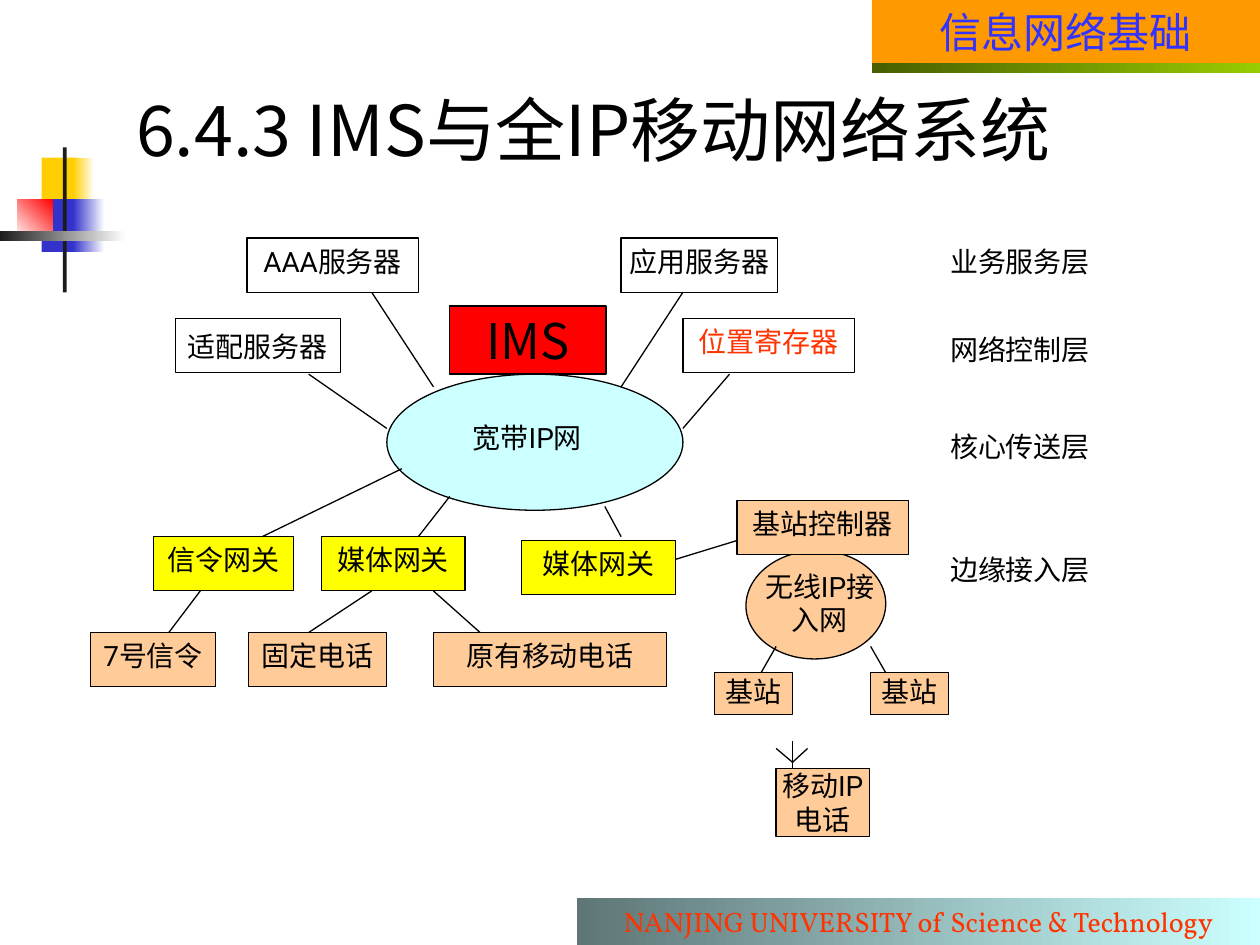
from typing import NamedTuple, Optional

from lxml.etree import SubElement
from pptx import Presentation
from pptx.dml.color import RGBColor
from pptx.enum.shapes import MSO_CONNECTOR, MSO_SHAPE
from pptx.enum.text import MSO_ANCHOR, MSO_AUTO_SIZE, PP_ALIGN
from pptx.oxml.ns import qn
from pptx.util import Inches, Pt

BLACK = RGBColor(0x00, 0x00, 0x00)
WHITE = RGBColor(0xFF, 0xFF, 0xFF)
CHARCOAL = RGBColor(0x1C, 0x1C, 0x1C)
GOLD = RGBColor(0xFF, 0xCF, 0x01)
INDIGO = RGBColor(0x33, 0x33, 0xCC)
BLUE = RGBColor(0x33, 0x33, 0xFF)
RED = RGBColor(0xFF, 0x00, 0x00)
ORANGE = RGBColor(0xFF, 0x99, 0x00)
VERMILION = RGBColor(0xFF, 0x33, 0x00)
TEAL = RGBColor(0x5E, 0x76, 0x76)
AQUA = RGBColor(0xCC, 0xFF, 0xFF)
OLIVE = RGBColor(0x47, 0x5E, 0x00)
LIME = RGBColor(0x99, 0xCC, 0x00)
PEACH = RGBColor(0xFF, 0xCC, 0x99)
YELLOW = RGBColor(0xFF, 0xFF, 0x00)

BODY_FONT = "Roboto"
TITLE_FONT = "Noto Sans CJK SC"
FOOTER_FONT = "Vollkorn"
NODE_HEIGHT = 0.43
LAYER_LEFT = 7.39


class Band(NamedTuple):
    left: float
    top: float
    width: float
    height: float
    start: RGBColor
    end: Optional[RGBColor] = None
    angle: float = 0


class Node(NamedTuple):
    text: str
    left: float
    top: float
    width: float
    height: float = NODE_HEIGHT
    fill: Optional[RGBColor] = PEACH
    outlined: bool = True
    inset: tuple[float, float] = (0.02, 0.05)
    size: float = 16
    color: RGBColor = BLACK
    font: str = BODY_FONT
    anchor: MSO_ANCHOR = MSO_ANCHOR.TOP
    geometry: MSO_SHAPE = MSO_SHAPE.RECTANGLE
    rotation: float = 0


class Link(NamedTuple):
    x1: float
    y1: float
    x2: float
    y2: float


BANDS = [
    Band(0.33, 1.25, 0.29, 0.38, GOLD),
    Band(0.58, 1.25, 0.17, 0.42, GOLD, WHITE),
    Band(0.33, 1.58, 0.25, 0.42, INDIGO),
    Band(0.58, 1.58, 0.25, 0.42, INDIGO, WHITE),
    Band(0.14, 1.58, 0.28, 0.33, WHITE, RED, 45),
    Band(0.5, 1.17, 0.03, 1.15, CHARCOAL),
    Band(0, 1.83, 1, 0.08, CHARCOAL, WHITE),
    Band(6.92, 0, 3.08, 0.5, ORANGE),
    Band(4.58, 7.13, 5.42, 0.37, TEAL, AQUA),
    Band(6.92, 0.5, 3.08, 0.08, OLIVE, LIME),
]
BANNERS = [
    Node("信息网络基础", 6.92, 0, 3.08, 0.5, None, False, (0.1, 0.05), 24, BLUE),
    Node("NANJING UNIVERSITY of Science & Technology", 4.58, 7.13, 5.42, 0.37,
         None, False, (0.1, 0.05), 16, VERMILION, FOOTER_FONT),
]
NODES = [
    Node("", 5.92, 4.37, 1.11, 0.86, geometry=MSO_SHAPE.OVAL, rotation=357.8),
    Node("无线IP接入网", 6.07, 4.51, 0.87, 0.54, None, False, (0, 0.01)),
    Node("", 3.07, 2.97, 2.35, 1.08, AQUA, geometry=MSO_SHAPE.OVAL),
    Node("宽带IP网", 3.69, 3.29, 0.99, fill=AQUA, outlined=False),
    Node("IMS", 3.57, 2.43, 1.24, 0.54, RED, inset=(0.02, 0.01), size=28,
         font=TITLE_FONT, anchor=MSO_ANCHOR.MIDDLE),
    Node("应用服务器", 4.93, 1.89, 1.24, fill=WHITE),
    Node("AAA服务器", 1.96, 1.89, 1.36, fill=WHITE),
    Node("适配服务器", 1.39, 2.53, 1.31, fill=WHITE, anchor=MSO_ANCHOR.MIDDLE),
    Node("位置寄存器", 5.42, 2.53, 1.36, fill=WHITE, color=VERMILION),
    Node("信令网关", 1.22, 4.26, 1.11, fill=YELLOW),
    Node("媒体网关", 2.55, 4.26, 1.14, fill=YELLOW),
    Node("媒体网关", 4.14, 4.29, 1.22, fill=YELLOW),
    Node("基站控制器", 5.85, 3.97, 1.36),
    Node("7号信令", 0.72, 5.02, 0.99),
    Node("固定电话", 1.97, 5.02, 1.1),
    Node("原有移动电话", 3.44, 5.02, 1.85),
    Node("基站", 5.67, 5.34, 0.62, 0.33, inset=(0, 0.01)),
    Node("基站", 6.91, 5.34, 0.62, 0.33, inset=(0, 0.01)),
    Node("移动IP电话", 6.16, 6.1, 0.74, 0.54, inset=(0, 0)),
]
LAYERS = {"业务服务层": 1.89, "网络控制层": 2.59, "核心传送层": 3.36, "边缘接入层": 4.34}
LINKS = [
    Link(5.42, 2.32, 4.93, 3.07),
    Link(2.95, 2.32, 3.44, 3.07),
    Link(2.45, 2.97, 3.07, 3.4),
    Link(5.42, 3.4, 5.79, 2.97),
    Link(3.19, 3.72, 2.08, 4.26),
    Link(3.57, 3.94, 3.32, 4.26),
    Link(4.8, 4.02, 4.93, 4.26),
    Link(5.36, 4.44, 5.85, 4.29),
    Link(1.59, 4.69, 1.34, 5.02),
    Link(2.95, 4.69, 2.45, 5.02),
    Link(3.44, 4.69, 3.81, 5.02),
    Link(6.16, 5.13, 6.04, 5.34),
    Link(6.91, 5.13, 7.03, 5.34),
    Link(6.29, 6.1, 6.29, 5.88),
    Link(6.29, 6.05, 6.16, 5.94),
    Link(6.29, 6.05, 6.41, 5.94),
]


def apply_format(target, values: dict) -> None:
    for attribute, value in values.items():
        setattr(target, attribute, value)


def write_text(shape, text: str, size: float, color: RGBColor, font: str,
               align: PP_ALIGN, anchor: MSO_ANCHOR, inset: tuple[float, float]) -> None:
    side, edge = (Inches(value) for value in inset)
    frame = shape.text_frame
    frame.text = text
    apply_format(frame, {
        "word_wrap": True, "auto_size": MSO_AUTO_SIZE.NONE, "vertical_anchor": anchor,
        "margin_left": side, "margin_right": side,
        "margin_top": edge, "margin_bottom": edge,
    })
    paragraph = frame.paragraphs[0]
    paragraph.alignment = align
    run = paragraph.runs[0]
    apply_format(run.font, {"name": font, "size": Pt(size)})
    run.font.color.rgb = color
    SubElement(run.font._element, qn("a:ea"), typeface=font)


def draw_band(slide, band: Band) -> None:
    shape = slide.shapes.add_shape(MSO_SHAPE.RECTANGLE, *map(Inches, band[:4]))
    shape.shadow.inherit = False
    shape.line.fill.background()
    if band.end is None:
        shape.fill.solid()
        shape.fill.fore_color.rgb = band.start
        return
    shape.fill.gradient()
    shape.fill.gradient_angle = band.angle
    for stop, color in zip(shape.fill.gradient_stops, (band.start, band.end)):
        stop.color.rgb = color


def draw_node(slide, node: Node) -> None:
    bounds = map(Inches, node[1:5])
    if node.fill is None:
        shape = slide.shapes.add_textbox(*bounds)
    else:
        shape = slide.shapes.add_shape(node.geometry, *bounds)
        shape.shadow.inherit = False
        shape.rotation = node.rotation
        shape.fill.solid()
        shape.fill.fore_color.rgb = node.fill
        if node.outlined:
            shape.line.color.rgb = BLACK
            shape.line.width = Pt(0.75)
        else:
            shape.line.fill.background()
    if node.text:
        write_text(shape, node.text, node.size, node.color, node.font,
                   PP_ALIGN.CENTER, node.anchor, node.inset)


def draw_link(slide, link: Link) -> None:
    connector = slide.shapes.add_connector(MSO_CONNECTOR.STRAIGHT, *map(Inches, link))
    connector.line.color.rgb = BLACK
    connector.line.width = Pt(0.75)
    SubElement(connector._element.spPr, qn("a:effectLst"))


def place_title(slide) -> None:
    title = slide.shapes.title
    apply_format(title, {"left": Inches(0.98), "top": Inches(0.52),
                         "width": Inches(7.83), "height": Inches(1)})
    write_text(title, "6.4.3 IMS与全IP移动网络系统", 40, BLACK, TITLE_FONT,
               PP_ALIGN.LEFT, MSO_ANCHOR.MIDDLE, (0.1, 0.05))
    title.text_frame.paragraphs[0].line_spacing = Pt(48)
    slide.shapes._spTree.append(title._element)


def main() -> None:
    deck = Presentation()
    apply_format(deck, {"slide_width": Inches(10), "slide_height": Inches(7.5)})
    slide = deck.slides.add_slide(deck.slide_layouts[5])
    for band in BANDS:
        draw_band(slide, band)
    for banner in BANNERS:
        draw_node(slide, banner)
    place_title(slide)
    for node in NODES:
        draw_node(slide, node)
    for layer, top in LAYERS.items():
        draw_node(slide, Node(layer, LAYER_LEFT, top, 1.41, fill=WHITE,
                              outlined=False, inset=(0.1, 0.05)))
    for link in LINKS:
        draw_link(slide, link)
    deck.save("out.pptx")


if __name__ == "__main__":
    main()
